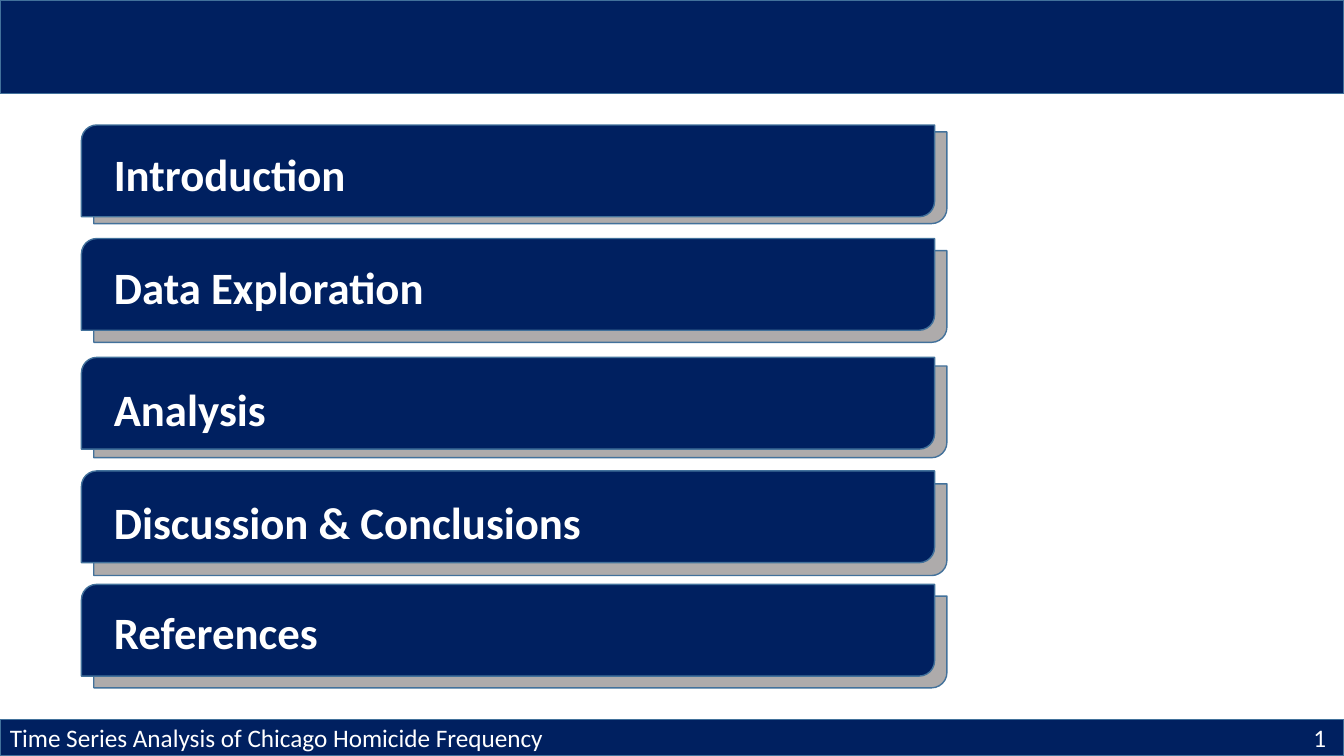
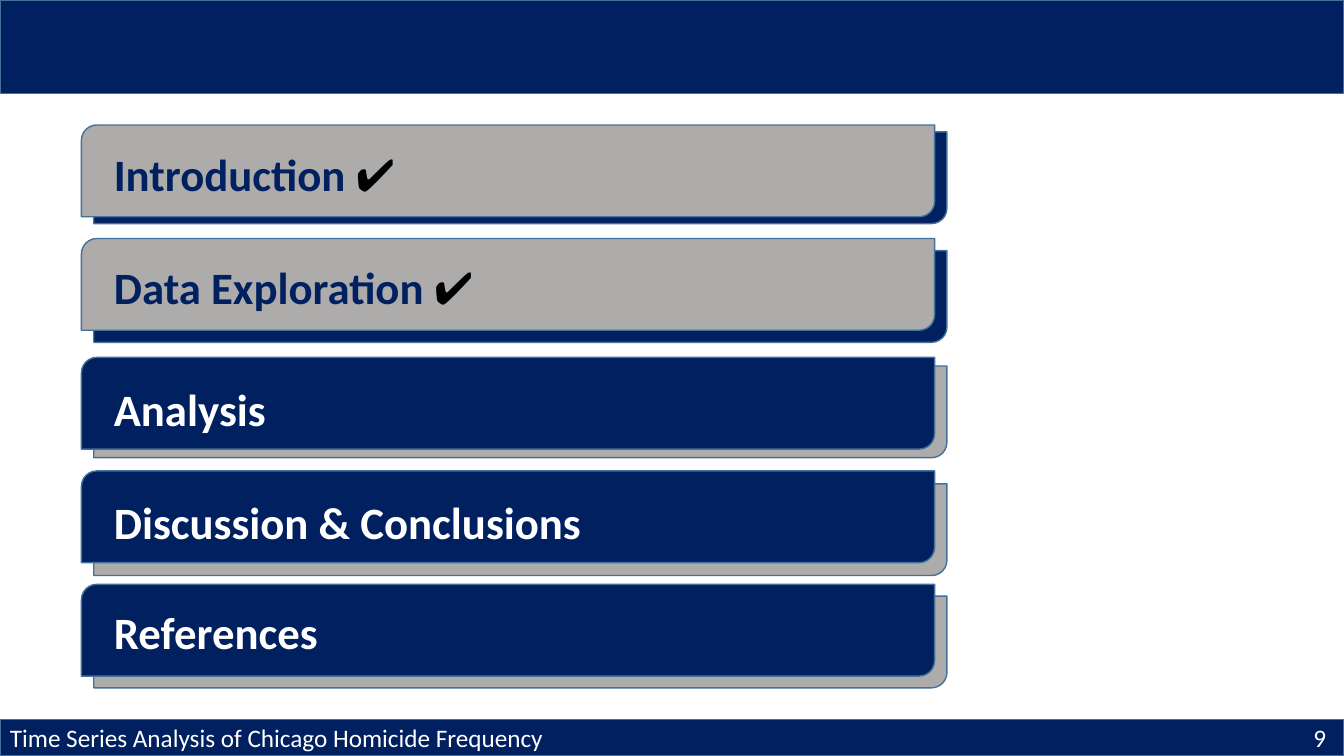
from dataclasses import dataclass

from pptx import Presentation
from pptx import util as u
from pptx.dml.color import RGBColor
from pptx.enum import shapes, text
from pptx.shapes.autoshape import Shape
from pptx.slide import Slide

NAVY = "002060"
GREY = "AEABAB"
OUTLINE = "42719B"
WHITE = "FFFFFF"
BLACK = "000000"
FONT = "Calibri"

SLIDE_WIDTH, SLIDE_HEIGHT = 960, 540
HEADER_HEIGHT = 67
FOOTER_TOP = 514
FOOTER_TEXT_TOP = 512.6
FOOTER_TEXT_HEIGHT = 29
BAR_LEFT, BAR_WIDTH, BAR_HEIGHT = 58.2, 609.4, 65.5
BACKING_LEFT = 67
LABEL_LEFT, LABEL_WIDTH, LABEL_HEIGHT = 74.2, 577, 67.5
FOOTER_TEXT = "Time Series Analysis of Chicago Homicide Frequency"


@dataclass(frozen=True)
class Section:
    title: str
    bar_top: float
    backing_top: float
    label_top: float


@dataclass(frozen=True)
class Agenda:
    page: int
    sections_done: int


@dataclass(frozen=True)
class Run:
    words: str
    color: str


SECTIONS = (
    Section("Introduction", 89.3, 94.2, 101.2),
    Section("Data Exploration", 170.4, 179, 182.2),
    Section("Analysis", 255.3, 261.4, 268.8),
    Section("Discussion & Conclusions", 336.4, 345.6, 349.8),
    Section("References", 417.4, 425.8, 428.6),
)
AGENDAS = (Agenda(page=1, sections_done=0), Agenda(page=9, sections_done=2))


def rgb(color: str) -> RGBColor:
    return RGBColor.from_string(color)


def add_panel(slide: Slide, kind: shapes.MSO_SHAPE, left: float, top: float,
              width: float, height: float, color: str) -> Shape:
    shape = slide.shapes.add_shape(kind, u.Pt(left), u.Pt(top), u.Pt(width), u.Pt(height))
    shape.shadow.inherit = False
    shape.fill.solid()
    shape.fill.fore_color.rgb = rgb(color)
    shape.line.color.rgb = rgb(OUTLINE)
    shape.line.width = u.Pt(1)
    return shape


def add_text(slide: Slide, left: float, top: float, width: float, height: float,
             runs: list[Run], size: float, bold: bool = False) -> None:
    shape = slide.shapes.add_textbox(u.Pt(left), u.Pt(top), u.Pt(width), u.Pt(height))
    frame = shape.text_frame
    frame.word_wrap = True
    frame.vertical_anchor = text.MSO_ANCHOR.TOP
    paragraph = frame.paragraphs[0]
    for item in runs:
        run = paragraph.add_run()
        run.text = item.words
        run.font.name = FONT
        run.font.size = u.Pt(size)
        run.font.bold = bold
        run.font.color.rgb = rgb(item.color)


def add_bar(slide: Slide, left: float, top: float, color: str) -> None:
    bar = add_panel(slide, shapes.MSO_SHAPE.ROUND_2_DIAG_RECTANGLE,
                    left, top, BAR_WIDTH, BAR_HEIGHT, color)
    bar.adjustments[0] = 0.167
    bar.adjustments[1] = 0


def add_section(slide: Slide, section: Section, done: bool) -> None:
    front, backing = (GREY, NAVY) if done else (NAVY, GREY)
    add_bar(slide, BACKING_LEFT, section.backing_top, backing)
    add_bar(slide, BAR_LEFT, section.bar_top, front)
    if done:
        runs = [Run(section.title + " ", NAVY), Run("✔", BLACK)]
    else:
        runs = [Run(section.title, WHITE)]
    add_text(slide, LABEL_LEFT, section.label_top, LABEL_WIDTH, LABEL_HEIGHT,
             runs, size=32, bold=True)


def add_bands(slide: Slide, page: int) -> None:
    rectangle = shapes.MSO_SHAPE.RECTANGLE
    add_panel(slide, rectangle, 0, 0, SLIDE_WIDTH, HEADER_HEIGHT, NAVY)
    add_panel(slide, rectangle, 0, FOOTER_TOP, SLIDE_WIDTH, SLIDE_HEIGHT - FOOTER_TOP, NAVY)
    for left, width, words in ((0, 407, FOOTER_TEXT), (931, 29, str(page))):
        add_text(slide, left, FOOTER_TEXT_TOP, width, FOOTER_TEXT_HEIGHT,
                 [Run(words, WHITE)], size=18)


def add_agenda(presentation: Presentation, agenda: Agenda) -> None:
    slide = presentation.slides.add_slide(presentation.slide_layouts[6])
    add_bands(slide, agenda.page)
    for index, section in enumerate(SECTIONS):
        add_section(slide, section, done=index < agenda.sections_done)


def main() -> None:
    presentation = Presentation()
    presentation.slide_width = u.Pt(SLIDE_WIDTH)
    presentation.slide_height = u.Pt(SLIDE_HEIGHT)
    for agenda in AGENDAS:
        add_agenda(presentation, agenda)
    presentation.save("out.pptx")


if __name__ == "__main__":
    main()
